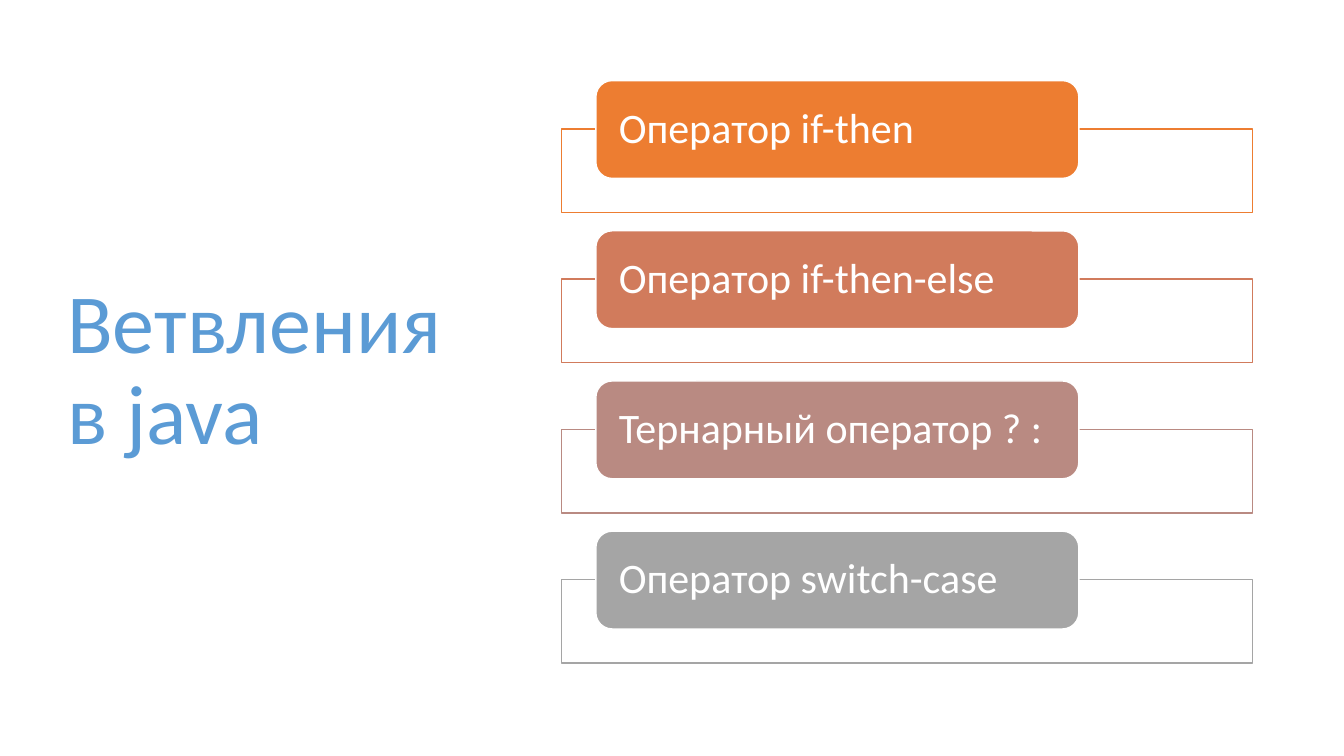
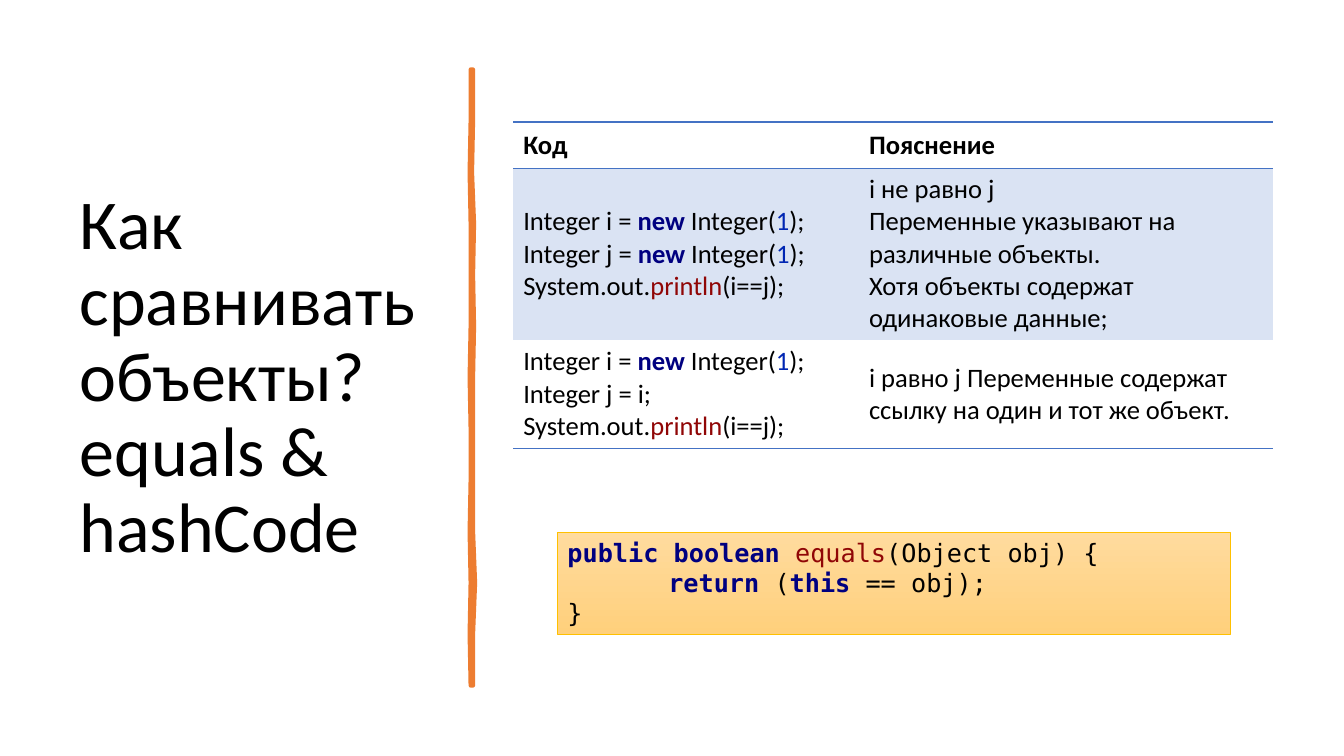
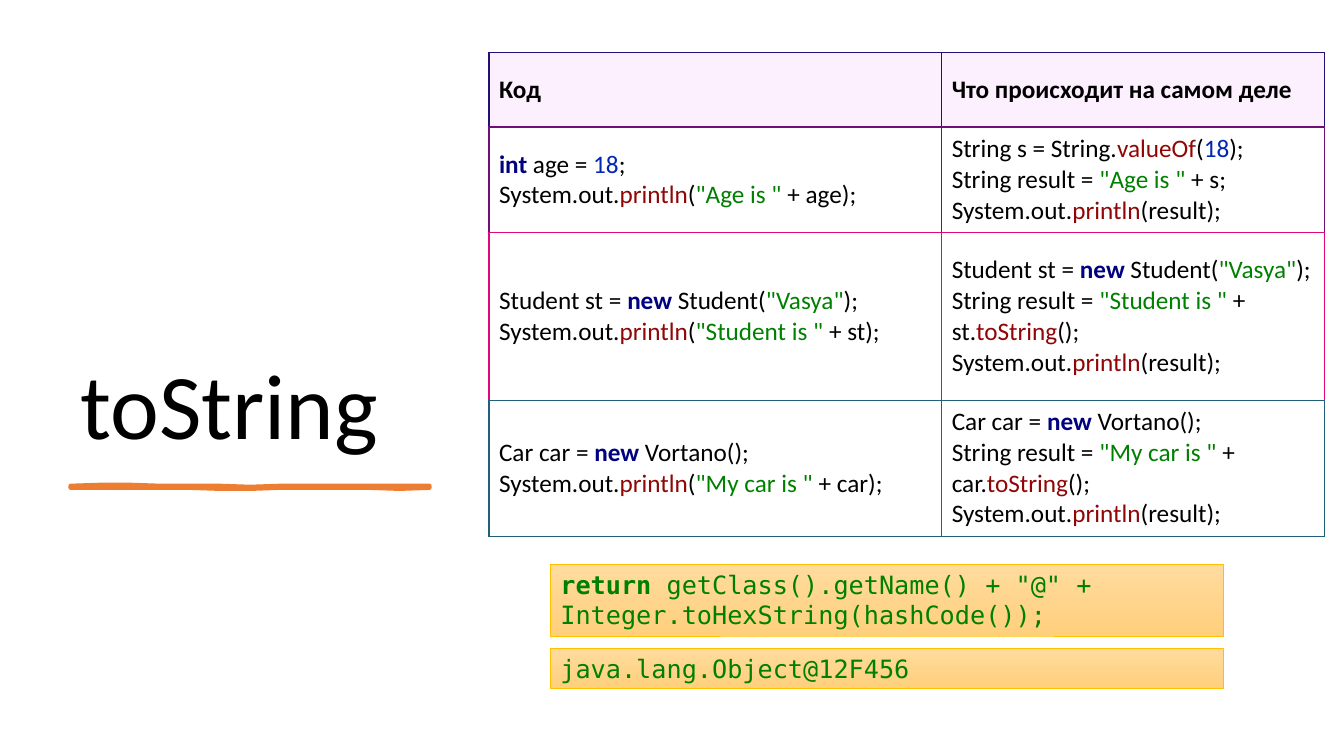
from lxml import etree
from pptx import Presentation
from pptx.dml.color import RGBColor
from pptx.enum.shapes import MSO_SHAPE
from pptx.enum.text import MSO_ANCHOR, PP_ALIGN
from pptx.oxml.ns import qn
from pptx.util import Inches, Pt

RECTANGLE = MSO_SHAPE.RECTANGLE
ROUNDED = MSO_SHAPE.ROUNDED_RECTANGLE
TOP, MIDDLE, BOTTOM = MSO_ANCHOR.TOP, MSO_ANCHOR.MIDDLE, MSO_ANCHOR.BOTTOM
LEFT = PP_ALIGN.LEFT

COLORS = {
    "white": "FFFFFF", "black": "000000", "title": "5B9BD5",
    "orange": "ED7D31", "terracotta": "D17B5C", "rose": "B98A82", "gray": "A5A5A5",
    "blue": "4472C4", "pale_blue": "DAE3F3", "pale_pink": "FCF0FF",
    "indigo": "201078", "purple": "700D78", "pink": "E00878", "teal": "20607B",
    "navy": "000080", "number": "0026B3", "method": "900606", "green": "008000",
    "code_top": "FFDB9E", "code_bottom": "FFD07C", "code_line": "FFC000",
}
BODY_FONT, CODE_FONT = "Calibri", "DejaVu Sans Mono"

# Code markup ‹kind text›: kind gives colour and weight
TOKENS = {
    "k": ("navy", True), "n": ("number", False), "m": ("method", False),
    "s": ("green", False), "r": ("green", True),
}
BORDER_TAGS = {"left": "a:lnL", "right": "a:lnR", "top": "a:lnT", "bottom": "a:lnB"}


def rgb(name):
    return RGBColor.from_string(COLORS[name])


# Text
def write_text(text_frame, lines, size, color="black", font=BODY_FONT, bold=False,
               line_spacing=None):
    """Write one paragraph per line; a leading tab indents the paragraph."""
    for index, line in enumerate(lines):
        paragraph = text_frame.paragraphs[0] if index == 0 else text_frame.add_paragraph()
        paragraph.alignment = LEFT
        if line_spacing:
            paragraph.line_spacing = line_spacing
        if line.startswith("\t"):
            properties = paragraph._p.get_or_add_pPr()
            properties.set("marL", str(Inches(1)))
            properties.set("indent", "0")
        parts = line.lstrip("\t").replace("›", "‹").split("‹")
        for position, part in enumerate(parts):
            if not part:
                continue
            run_color, run_bold = color, bold
            if position % 2:
                kind, part = part.split(" ", 1)
                run_color, run_bold = TOKENS[kind]
            run = paragraph.add_run()
            run.text = part
            run.font.name = font
            run.font.size = Pt(size)
            run.font.bold = run_bold
            run.font.color.rgb = rgb(run_color)


def add_title(slide, text, left, top, width, height, size, color="black", anchor=MIDDLE):
    box = slide.shapes.add_textbox(Inches(left), Inches(top), Inches(width), Inches(height))
    box.text_frame.word_wrap = True
    box.text_frame.vertical_anchor = anchor
    write_text(box.text_frame, [text], size, color, line_spacing=0.9)


# Shapes
def add_box(slide, kind, left, top, width, height, fill, line, line_width=1):
    shape = slide.shapes.add_shape(
        kind, Inches(left), Inches(top), Inches(width), Inches(height))
    shape.shadow.inherit = False
    shape.fill.solid()
    shape.fill.fore_color.rgb = rgb(fill)
    shape.line.color.rgb = rgb(line)
    shape.line.width = Pt(line_width)
    shape.text_frame.word_wrap = True
    return shape


def add_operator(slide, text, top, color):
    add_box(slide, RECTANGLE, 5.57, top + 0.48, 6.85, 0.83, "white", color)
    label = add_box(slide, ROUNDED, 5.91, top, 4.79, 0.97, color, "white")
    frame = label.text_frame
    frame.margin_left = frame.margin_right = Inches(0.18)
    frame.vertical_anchor = MIDDLE
    write_text(frame, [text], 30, "white", line_spacing=0.9)


def add_code_box(slide, lines, left, top, height, color="black"):
    box = add_box(slide, RECTANGLE, left, top, 6.67, height, "code_top", "code_line", 0.5)
    box.fill.gradient()
    box.fill.gradient_angle = 270
    for stop, name in zip(box.fill.gradient_stops, ("code_top", "code_bottom")):
        stop.color.rgb = rgb(name)
    box.text_frame.vertical_anchor = TOP
    write_text(box.text_frame, lines, 18, color, CODE_FONT)


def add_brush_stroke(slide, left, top, length, near, far, width, vertical=False):
    """Draw a wavy stroke; near and far are the offsets of its two edges."""
    def edge(offsets):
        step = length / (len(offsets) - 1)
        for index, offset in enumerate(offsets):
            along, across = index * step, offset
            x, y = (across, along) if vertical else (along, across)
            yield Inches(left + x), Inches(top + y)

    points = list(edge(near)) + list(edge(far))[::-1]
    builder = slide.shapes.build_freeform(*points[0])
    builder.add_line_segments(points[1:], close=True)
    stroke = builder.convert_to_shape()
    stroke.shadow.inherit = False
    stroke.fill.solid()
    stroke.fill.fore_color.rgb = rgb("orange")
    stroke.line.color.rgb = rgb("orange")
    stroke.line.width = Pt(width)
    etree.SubElement(stroke.line._get_or_add_ln(), qn("a:round"))


# Tables
def set_borders(cell, borders):
    properties = cell._tc.get_or_add_tcPr()
    for side, tag in BORDER_TAGS.items():
        line = etree.SubElement(properties, qn(tag), w=str(Pt(1)))
        if side in borders:
            fill = etree.SubElement(line, qn("a:solidFill"))
            etree.SubElement(fill, qn("a:srgbClr"), val=COLORS[borders[side]])
        else:
            etree.SubElement(line, qn("a:noFill"))


def add_code_table(slide, left, top, widths, rows, size):
    """Each row is (height, fill, borders, cells); the first row is the header."""
    height = sum(row[0] for row in rows)
    table = slide.shapes.add_table(
        len(rows), len(widths), Inches(left), Inches(top),
        Inches(sum(widths)), Inches(height)).table
    table.first_row = table.horz_banding = False
    for column, width in zip(table.columns, widths):
        column.width = Inches(width)
    for row_index, (row_height, fill, borders, cells) in enumerate(rows):
        table.rows[row_index].height = Inches(row_height)
        for column_index, lines in enumerate(cells):
            cell = table.cell(row_index, column_index)
            set_borders(cell, borders)
            cell.fill.solid()
            cell.fill.fore_color.rgb = rgb(fill)
            cell.vertical_anchor = MIDDLE
            write_text(cell.text_frame, lines, size, bold=row_index == 0)


def frame_borders(color, bottom):
    return {"left": color, "right": color, "top": color, "bottom": bottom}


# Slides
def build_branching(slide):
    add_title(slide, "Ветвления в java", 0.57, 0.68, 4.16, 6.02, 60, "title")
    operators = [
        ("Оператор if-then", "orange"),
        ("Оператор if-then-else", "terracotta"),
        ("Тернарный оператор ? :", "rose"),
        ("Оператор switch-case", "gray"),
    ]
    for index, (text, color) in enumerate(operators):
        add_operator(slide, text, 0.8 + index * 1.49, color)


def build_comparison(slide):
    add_title(slide, "Как сравнивать объекты? equals & hashCode",
              0.69, 0.7, 3.74, 6.11, 50)
    near = [0, 0, -0.01, 0, 0, 0, -0.01, 0, 0, -0.01, 0, -0.01, 0]
    far = [0.02, 0.02, 0.01, 0.03, 0.02, 0.03, 0.02, 0.02, 0.02, 0.02, 0.04, 0.02, 0.02]
    add_brush_stroke(slide, 4.67, 0.69, 6.11, near, far, 3.25, vertical=True)

    new_integer = "Integer {} = ‹k new› Integer(‹n 1›);"
    print_equality = "System.out.‹m println›(i==j);"
    rows = [
        (0.46, "white", {"top": "blue", "bottom": "blue"}, [["Код"], ["Пояснение"]]),
        (1.7, "pale_blue", {"top": "blue"}, [
            [new_integer.format("i"), new_integer.format("j"), print_equality],
            ["i не равно j", "Переменные указывают на различные объекты.",
             "Хотя объекты содержат одинаковые данные;"]]),
        (1.08, "white", {"bottom": "blue"}, [
            [new_integer.format("i"), "Integer j = i;", print_equality],
            ["i равно j Переменные содержат ссылку на один и тот же объект."]]),
    ]
    add_code_table(slide, 5.09, 1.21, [3.43, 4.11], rows, 19)
    add_code_box(slide, [
        "‹k public boolean ›‹m equals›(Object obj) {",
        "\t‹k return› (‹k this› == obj);",
        "}"], 5.53, 5.28, 1.01)


def build_to_string(slide):
    add_title(slide, "toString", 0.7, 0.7, 3.91, 3.91, 66, anchor=BOTTOM)
    near = [0, -0.01, -0.01, 0, 0, 0, 0.01, 0, 0, 0, 0, 0, 0]
    far = [0.02, 0.02, 0.02, 0.02, 0.02, 0.03, 0.03, 0.02, 0.02, 0.02, 0.02, 0.03, 0.02]
    add_brush_stroke(slide, 0.7, 4.82, 3.56, near, far, 3)

    print_result = "System.out.‹m println›(result);"
    new_student = "Student st = ‹k new› Student(‹s \"Vasya\"›);"
    new_car = "Car car = ‹k new› Vortano();"
    rows = [
        (0.74, "pale_pink", frame_borders("indigo", "purple"),
         [["Код"], ["Что происходит на самом деле"]]),
        (1.05, "white", frame_borders("purple", "pink"), [
            ["‹k int› age = ‹n 18›;", "System.out.‹m println›(‹s \"Age is \" ›+ age);"],
            ["String s = String.‹m valueOf›(‹n 18›);",
             "String result = ‹s \"Age is \" ›+ s; " + print_result]]),
        (1.66, "white", frame_borders("pink", "teal"), [
            [new_student + " System.out.‹m println›(‹s \"Student is \" ›+ st);"],
            [new_student,
             "String result = ‹s \"Student is \" ›+ st.‹m toString›(); " + print_result]]),
        (1.35, "white", frame_borders("teal", "teal"), [
            [new_car + " System.out.‹m println›(‹s \"My car is \" ›+ car);"],
            [new_car,
             "String result = ‹s \"My car is \" ›+ car.‹m toString›(); " + print_result]]),
    ]
    add_code_table(slide, 4.85, 0.52, [4.49, 3.8], rows, 18)
    add_code_box(slide, [
        "‹r return ›getClass().getName() + \"@\" + Integer.toHexString(hashCode());"],
        5.46, 5.6, 0.71, "green")
    add_code_box(slide, ["java.lang.Object@12F456"], 5.46, 6.43, 0.4, "green")


def main():
    presentation = Presentation()
    presentation.slide_width = Inches(13.33)
    presentation.slide_height = Inches(7.5)
    blank = presentation.slide_layouts[6]
    for build in (build_branching, build_comparison, build_to_string):
        build(presentation.slides.add_slide(blank))
    presentation.save("out.pptx")


if __name__ == "__main__":
    main()
